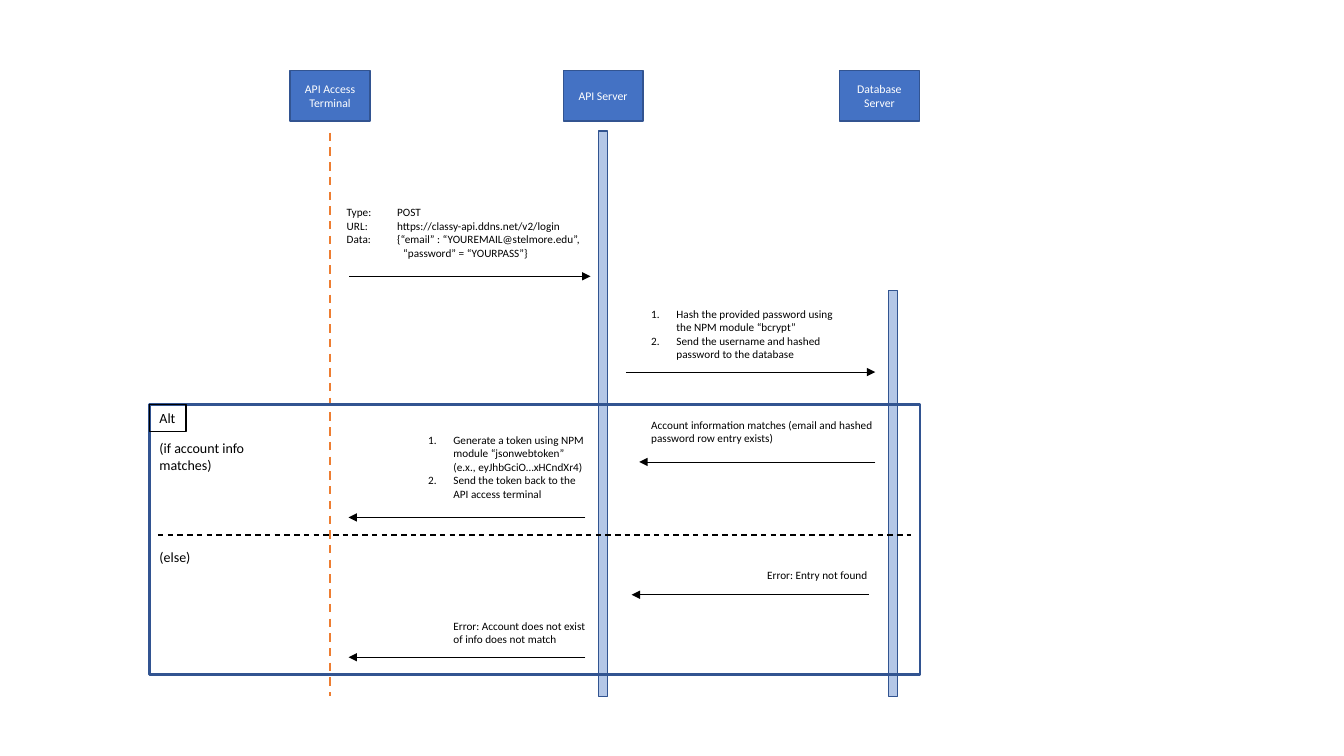
from pptx import Presentation
from pptx import util as u
from pptx.dml import color
from pptx.enum import dml, shapes, text
from pptx.oxml import ns
from lxml import etree

BLUE = color.RGBColor(0x44, 0x72, 0xC4)
NAVY = color.RGBColor(0x32, 0x54, 0x91)
PALE = color.RGBColor(0xB4, 0xC7, 0xE7)
ORANGE = color.RGBColor(0xED, 0x7D, 0x31)
BLACK = color.RGBColor(0, 0, 0)
WHITE = color.RGBColor(255, 255, 255)

COLUMNS, ROWS = 160, 90


def set_all(target, values):
    for name, value in values.items():
        setattr(target, name, value)


def add_xml(parent, tag, **attributes):
    return etree.SubElement(parent, ns.qn(tag), **attributes)


class Diagram:
    font = "Calibri"

    def __init__(self, prs):
        self.col = prs.slide_width / COLUMNS
        self.row = prs.slide_height / ROWS
        self.s = prs.slides.add_slide(prs.slide_layouts[6])

    def place(self, x, y, w, h):
        return [int(n) for n in (x * self.col, y * self.row, w * self.col, h * self.row)]

    def box(self, x, y, w, h, line=NAVY, weight=1, fill=None):
        sp = self.s.shapes.add_shape(shapes.MSO_SHAPE.RECTANGLE, *self.place(x, y, w, h))
        sp.shadow.inherit = False
        if fill is None:
            sp.fill.background()
        else:
            sp.fill.solid()
            sp.fill.fore_color.rgb = fill
        sp.line.color.rgb = line
        sp.line.width = u.Pt(weight)
        return sp

    def label(self, sp, lines, size=8, rgb=BLACK, align=text.PP_ALIGN.LEFT,
              indents=None, numbered=False, **frame):
        tf = sp.text_frame
        set_all(tf, {"word_wrap": True, "vertical_anchor": text.MSO_ANCHOR.TOP, **frame})
        for i, line in enumerate(lines):
            p = tf.paragraphs[0] if i == 0 else tf.add_paragraph()
            p.alignment = align
            r = p.add_run()
            r.text = line
            set_all(r.font, {"name": self.font, "size": u.Pt(size)})
            r.font.color.rgb = rgb
            if indents:
                indent = u.Inches(indents[i])
                pPr = p._p.get_or_add_pPr()
                pPr.set("marL", str(indent))
                pPr.set("indent", str(-indent))
                if numbered:
                    add_xml(pPr, "a:buFont", typeface="+mj-lt")
                    add_xml(pPr, "a:buAutoNum", type="arabicPeriod")

    def note(self, x, y, w, h, *lines, **style):
        sp = self.s.shapes.add_textbox(*self.place(x, y, w, h))
        self.label(sp, lines, **style)

    def steps(self, x, y, w, h, *lines):
        self.note(x, y, w, h, *lines, indents=[0.25] * len(lines), numbered=True)

    def header(self, center, title):
        w, h = 9.5, 6
        sp = self.box(center - w / 2, 8.4, w, h, fill=BLUE)
        self.label(sp, [title], size=8.4, rgb=WHITE, align=text.PP_ALIGN.CENTER,
                   vertical_anchor=text.MSO_ANCHOR.MIDDLE)

    def activation(self, center, top):
        w = 1.1
        self.box(center - w / 2, top, w, LIFE_END - top, fill=PALE)

    def line(self, x1, y1, x2, y2, rgb=BLACK, weight=1.0, dashed=False, arrow=False):
        ends = self.place(x1, y1, x2, y2)
        c = self.s.shapes.add_connector(shapes.MSO_CONNECTOR.STRAIGHT, *ends)
        c.line.color.rgb = rgb
        c.line.width = u.Pt(weight)
        if dashed:
            c.line.dash_style = dml.MSO_LINE.DASH
        spPr = c._element.spPr
        if arrow:
            add_xml(spPr.find(ns.qn("a:ln")), "a:tailEnd", type="triangle")
        add_xml(spPr, "a:effectLst")

    def message(self, start, end, y):
        self.line(start, y, end, y, weight=0.5, arrow=True)


TERMINAL, SERVER, DATABASE = 39.3, 71.8, 106.3
LIFE_END = 82.9
FRAME_LEFT, FRAME_TOP, FRAME_WIDTH = 17.8, 48.15, 91.7

prs = Presentation()
set_all(prs, {"slide_width": u.Inches(13.33), "slide_height": u.Inches(7.5)})
d = Diagram(prs)

for center, title in [(TERMINAL, "API Access Terminal"), (SERVER, "API Server"),
                      (104.7, "Database Server")]:
    d.header(center, title)
d.line(TERMINAL, 15.8, TERMINAL, LIFE_END, rgb=ORANGE, weight=1.5, dashed=True)
for center, top in [(SERVER, 15.6), (DATABASE, 34.6)]:
    d.activation(center, top)

d.box(FRAME_LEFT, FRAME_TOP, FRAME_WIDTH, 32.15, weight=1.5)
d.line(FRAME_LEFT + 1, 63.7, FRAME_LEFT + FRAME_WIDTH - 1, 63.7, dashed=True)
alt = d.box(FRAME_LEFT, FRAME_TOP, 4.35, 3.25, line=BLACK)
d.label(alt, ["Alt"], size=10, word_wrap=False)
d.note(FRAME_LEFT, 51.7, 15.8, 5.3, "(if account info matches)", size=10)
d.note(FRAME_LEFT, 64.7, 6.1, 3.2, "(else)", size=10, word_wrap=False)

for start, end, y in [(41.6, 70.3, 32.9), (74.5, 104.2, 44.3), (104.2, 76.1, 55),
                      (69.7, 41.5, 61.6), (103.4, 75.2, 70.8), (69.7, 41.5, 78.25)]:
    d.message(start, end, y)

d.note(40.1, 23.9, 30.8, 7.7,
       "Type: \tPOST",
       "URL: \thttps://classy-api.ddns.net/v2/login",
       "Data: \t{“email” : “YOUREMAIL@stelmore.edu”,",
       "\t“password” = “YOURPASS”}",
       indents=[0.5, 0.5, 0.5, 0.56], word_wrap=False)
d.steps(76.35, 36, 25.8, 7.7,
        "Hash the provided password using the NPM module “bcrypt”",
        "Send the username and hashed password to the database")
d.note(76.35, 49.2, 31.3, 6,
       "Account information matches (email and hashed password row entry exists)")
d.steps(49.8, 51, 21, 9.25,
        "Generate a token using NPM module “jsonwebtoken” (e.x., eyJhbGciO…xHCndXr4)",
        "Send the token back to the API access terminal")
d.note(90.15, 67.1, 19, 2.9, "Error: Entry not found")
d.note(52.8, 73.1, 18.6, 4.4, "Error: Account does not exist of info does not match")

prs.save("out.pptx")
